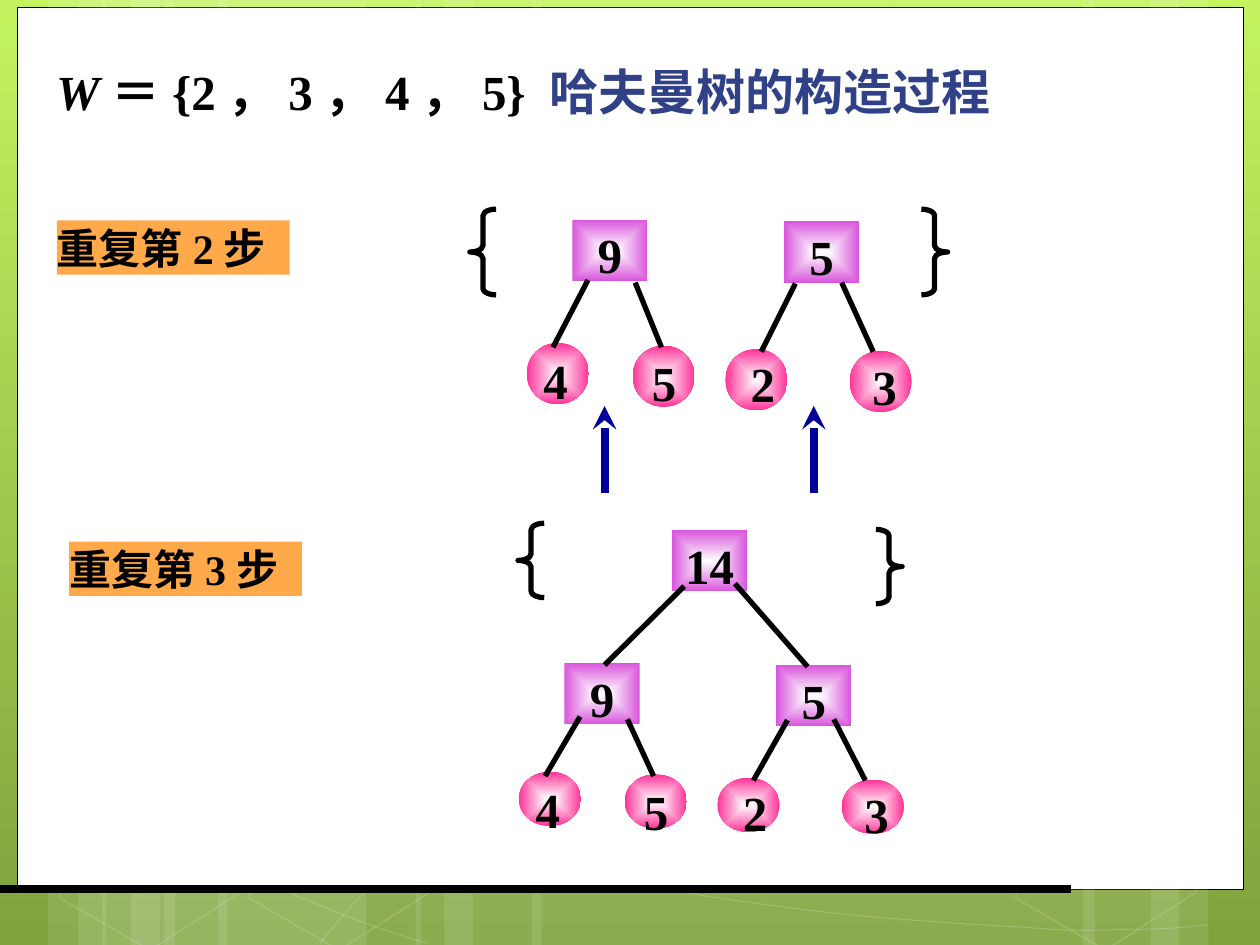
"""Build a slide showing the last two merges of a Huffman tree."""
import dataclasses

import pptx
import pptx.dml.color
import pptx.enum.dml
import pptx.enum.shapes
import pptx.enum.text
import pptx.oxml
import pptx.oxml.ns
import pptx.util

Pt = pptx.util.Pt
RGB = pptx.dml.color.RGBColor.from_string
qn = pptx.oxml.ns.qn
Kind = pptx.enum.shapes.MSO_SHAPE
Align = pptx.enum.text.PP_ALIGN
Anchor = pptx.enum.text.MSO_ANCHOR
NS = pptx.oxml.ns.nsdecls("a")


@dataclasses.dataclass(frozen=True)
class Theme:
    white: str = "FFFFFF"
    black: str = "000000"
    lime: str = "C2F35F"
    moss: str = "80A33D"
    blue: str = "314187"
    navy: str = "000099"
    orange: str = "FFA94A"
    pink: str = "FF3399"
    purple: str = "D955DC"
    latin: str = "Times New Roman"
    han: str = "Noto Sans CJK SC"
    big: int = 28
    small: int = 24


theme = Theme()
deck = pptx.Presentation()
deck.slide_width, deck.slide_height = Pt(720), Pt(540)
slide = deck.slides.add_slide(deck.slide_layouts[6])
shapes = slide.shapes


def form(kind, box, color=None, alpha=None, ramp=False):
    shape = shapes.add_shape(kind, *map(Pt, box))
    shape.shadow.inherit = False
    shape.line.fill.background()
    fill = shape.fill
    if ramp:
        fill.gradient()
        for stop, tone in zip(fill.gradient_stops, (theme.white, color)):
            stop.color.rgb = RGB(tone)
        lin = next(shape.element.spPr.iter(qn("a:lin")))
        lin.getparent().replace(lin, pptx.oxml.parse_xml(
            f'<a:path {NS} path="rect"><a:fillToRect l="50000" t="50000" '
            'r="50000" b="50000"/></a:path>'))
    elif color:
        fill.solid()
        fill.fore_color.rgb = RGB(color)
    else:
        fill.background()
    if alpha:
        tint = next(shape.element.spPr.iter(qn("a:srgbClr")))
        tint.append(pptx.oxml.parse_xml(f'<a:alpha {NS} val="{alpha * 1000}"/>'))
    return shape


def write(shape, runs, size, align, pad=(0, 0), anchor=Anchor.TOP):
    frame = shape.text_frame
    frame.word_wrap = True
    frame.vertical_anchor = anchor
    frame.margin_left = frame.margin_right = Pt(pad[0])
    frame.margin_top, frame.margin_bottom = Pt(pad[1]), 0
    para = frame.paragraphs[0]
    para.alignment = align
    for text, face, color, slant in runs:
        run = para.add_run()
        run.text = text
        font = run.font
        font.name, font.size, font.bold, font.italic = face, Pt(size), True, slant
        font.color.rgb = RGB(color)
        latin = run.font._element.find(qn("a:latin"))
        latin.addnext(pptx.oxml.parse_xml(f'<a:ea {NS} typeface="{theme.han}"/>'))


back = slide.background.fill
back.gradient()
back.gradient_angle = 270
for stop, tone in zip(back.gradient_stops, (theme.lime, theme.moss)):
    stop.color.rgb = RGB(tone)

panel = form(Kind.RECTANGLE, (10, 4.5, 700.5, 504), theme.white)
panel.line.color.rgb = RGB(theme.black)
panel.line.width = Pt(0.5)

bars = [(93.5, 116), (27.5, 33), (44.5, 55.5), (124.5, 116), (58.5, 33),
        (75, 55), (508.5, 117), (657.5, 33), (619, 55), (304, 204.5),
        (237.5, 33), (254, 55.5)]
for x, wide in bars:
    form(Kind.RECTANGLE, (x, 0, wide, 540), theme.white, 10)

faint = []
for x in (29.5, 137.5, 575.5):
    cell = form(Kind.HEXAGON, (x, 426, 116, 109.5))
    cell.adjustments[0] = 0.26
    cell.rotation = 30
    faint.append((cell, 1, 12))

curves = [
    [(26, 444), (106, 484), (186, 523), (244, 539)],
    [(258.5, 484.5), (314, 497), (384, 510), (438.5, 517), (493, 525),
     (552, 528), (587.5, 530), (622, 533), (631, 531), (649, 531),
     (665, 531), (677.5, 530), (690, 528.5)],
    [(183, 539), (194, 525), (206, 510.5), (222.5, 497.5)],
]
for curve in curves:
    dots = []
    for at in range(0, len(curve) - 1, 3):
        for step in range(1, 13):
            t = step / 12
            mix = ((1 - t) ** 3, 3 * t * (1 - t) ** 2, 3 * t * t * (1 - t), t ** 3)
            dots.append(tuple(
                Pt(sum(m * p[axis] for m, p in zip(mix, curve[at:at + 4])))
                for axis in (0, 1)))
    pen = shapes.build_freeform(*map(Pt, curve[0]), scale=1.0)
    pen.add_line_segments(dots, close=False)
    arc = pen.convert_to_shape()
    arc.shadow.inherit = False
    arc.fill.background()
    faint.append((arc, 0.5, 20))

for shape, width, alpha in faint:
    shape.line.width = Pt(width)
    shape.line.color.rgb = RGB(theme.white)
    tint = next(shape.element.spPr.iter(qn("a:srgbClr")))
    tint.append(pptx.oxml.parse_xml(f'<a:alpha {NS} val="{alpha * 1000}"/>'))

title = [("W", theme.latin, theme.black, True), ("＝", theme.han, theme.black, False)]
for text in ("{2", "，", "3", "，", "4", "，", "5} "):
    face = theme.han if text == "，" else theme.latin
    title.append((text, face, theme.black, False))
title.append(("哈夫曼树的构造过程", theme.han, theme.blue, False))
head = shapes.add_textbox(Pt(25), Pt(34.5), Pt(666), Pt(41))
write(head, title, theme.big, Align.LEFT, (7.2, 0.6))

for text, x, y in (("重复第2步", 32.5, 126), ("重复第3步", 39.5, 309.5)):
    label = form(Kind.RECTANGLE, (x, y, 133, 31), theme.orange)
    write(label, [(text, theme.latin, theme.black, False)], theme.small,
          Align.LEFT, anchor=Anchor.MIDDLE)

leaves = [("4", 301, 196, 1.5, 1.5), ("5", 361.5, 197.5, 3, 1),
          ("2", 414.5, 199.5, 6.5, -0.5), ("3", 485.5, 200.5, 5, 0)]
roots = [("9", 327, 125.5), ("5", 448, 126.5)]
twigs = [(336, 160, 316, 198.5), (363, 161.5, 378, 198.5),
         (454.5, 162, 435, 201), (481, 161.5, 499, 201)]
trees = [(0, 0, 0, 0, 35), (-4.5, 253.5, 249.5, 245, 31)]

nodes = [("14", 384, 303)]
lines = [(391, 335, 345.5, 380, theme.black, 3),
         (420, 333.5, 461.5, 381, theme.black, 3),
         (0, 508, 612, 508, theme.black, 4.5)]
for x in (345.5, 465):
    lines.append((x, 282, x, 232, theme.navy, 4.5))

for shift, fall, start, drop, tall in trees:
    for text, x, y, dx, dy in leaves:
        left, top = x + shift, y + drop
        form(Kind.OVAL, (left, top, 35.5, tall), theme.pink, ramp=True)
        digit = shapes.add_textbox(Pt(left + dx), Pt(top + dy), Pt(30), Pt(tall + 5))
        write(digit, [(text, theme.latin, theme.black, False)], theme.big,
              Align.CENTER, (0, 3))
    for text, x, y in roots:
        nodes.append((text, x + shift, y + fall))
    for x1, y1, x2, y2 in twigs:
        lines.append((x1 + shift, y1 + start, x2 + shift, y2 + drop, theme.black, 3))

for text, x, y in nodes:
    node = form(Kind.RECTANGLE, (x, y, 43, 35), theme.purple, ramp=True)
    write(node, [(text, theme.latin, theme.black, False)], theme.big,
          Align.CENTER, (0, 3))

for *ends, color, width in lines:
    line = shapes.add_connector(pptx.enum.shapes.MSO_CONNECTOR.STRAIGHT, *map(Pt, ends))
    line.line.color.rgb = RGB(color)
    line.line.width = Pt(width)
    line.element.spPr.append(pptx.oxml.parse_xml(f"<a:effectLst {NS}/>"))
    if color == theme.navy:
        stroke = line.element.spPr.find(qn("a:ln"))
        stroke.append(pptx.oxml.parse_xml(f'<a:tailEnd {NS} type="stealth"/>'))

braces = [(Kind.LEFT_BRACE, 268.5, 119.5, 49), (Kind.RIGHT_BRACE, 526.5, 119.5, 49),
          (Kind.LEFT_BRACE, 296, 299, 42.5), (Kind.RIGHT_BRACE, 500.5, 302.5, 42.5)]
for kind, x, y, tall in braces:
    brace = form(kind, (x, y, 15, tall))
    brace.adjustments[0] = 0.25
    brace.line.color.rgb = RGB(theme.black)
    brace.line.width = Pt(3)

deck.save("out.pptx")
